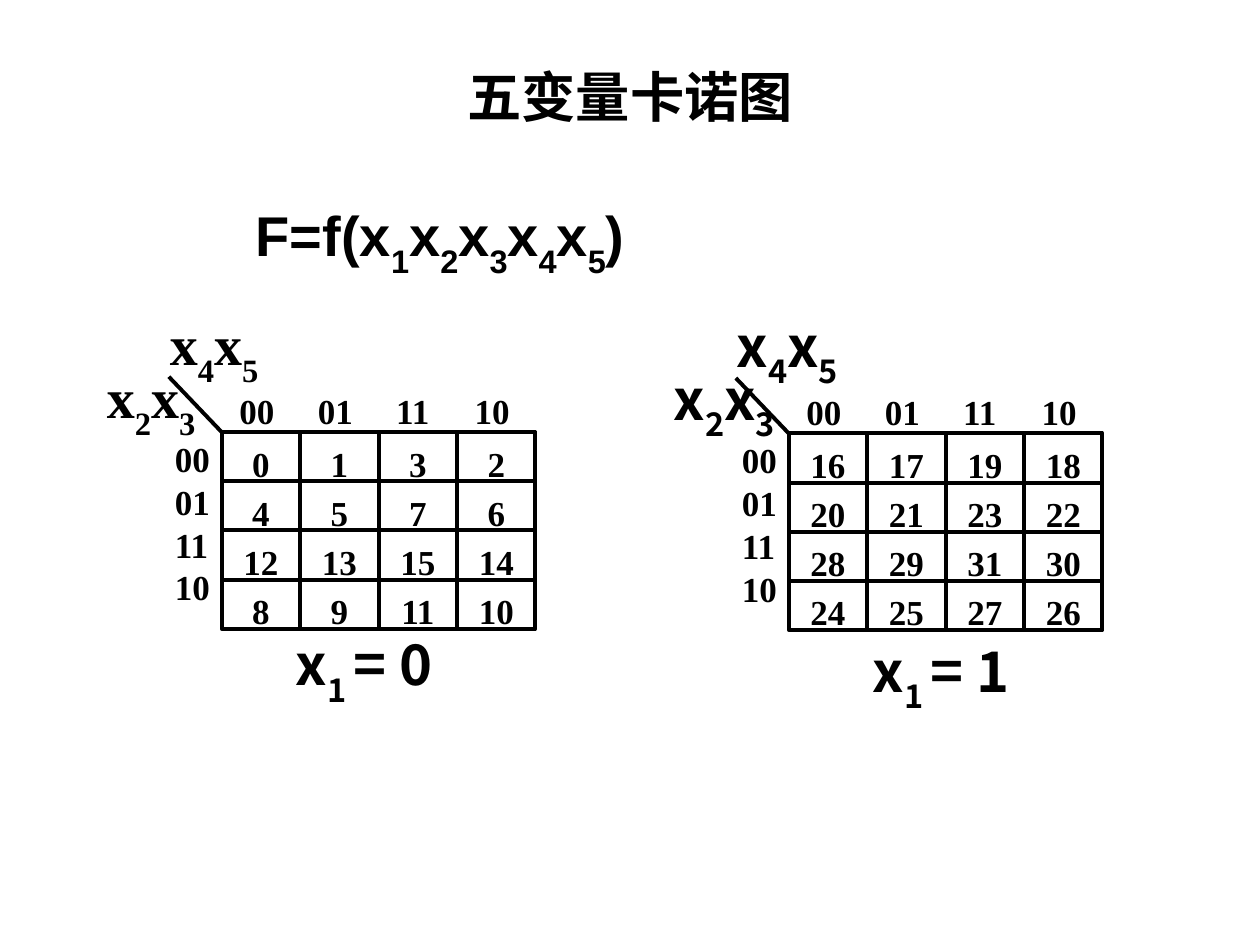
"""Build a slide with the two Karnaugh maps of a five-variable function."""
from lxml.etree import SubElement
from pptx import Presentation
from pptx.dml.color import RGBColor
from pptx.enum.shapes import MSO_CONNECTOR, MSO_SHAPE
from pptx.enum.text import MSO_ANCHOR, MSO_AUTO_SIZE, PP_ALIGN
from pptx.oxml.ns import qn
from pptx.util import Inches, Pt

COLORS = {"ink": "000000"}
SANS, SERIF, CJK = "Arial", "Times New Roman", "Noto Sans CJK SC"
TITLE = "五变量卡诺图"
FORMULA = ["F=f(x", "1", "x", "2", "x", "3", "x", "4", "x", "5", ")"]
COLUMN_NAME = ["x", "4", "x", "5"]
ROW_NAME = ["x", "2", "x", "3"]
GRAY = [0, 1, 3, 2]
CODES = [format(number, "02b") for number in GRAY]
MAPS = [
    {"origin": (1.76, 3.43), "first": 0, "font": SERIF,
     "caption": ["x", "1 ", "= 0"], "caption_at": (0.49, 1.52)},
    {"origin": (6.26, 3.44), "first": 16, "font": CJK,
     "caption": ["x", "1 ", "= 1"], "caption_at": (0.57, 1.56)},
]
SIZE = len(GRAY)
GRID_W, GRID_H = 2.49, 1.56
CELL_W, CELL_H = GRID_W / SIZE, GRID_H / SIZE
LINE = Pt(2.25)


def ink():
    """Return the one colour of the slide."""
    return RGBColor.from_string(COLORS["ink"])


def write(frame, paragraphs, font=SERIF, size=20, align=PP_ALIGN.LEFT,
          spacing=1.0, before=0, tabs=()):
    """Fill a frame; every second piece of a paragraph is a subscript."""
    frame.word_wrap = True
    for row, pieces in enumerate(paragraphs):
        para = frame.add_paragraph() if row else frame.paragraphs[0]
        para.alignment, para.line_spacing = align, spacing
        para.space_before = Pt(before if row else 0)
        if tabs:
            stops = SubElement(para._p.get_or_add_pPr(), qn("a:tabLst"))
            for stop in tabs:
                SubElement(stops, qn("a:tab"), pos=str(Inches(stop)), algn="l")
        for index, piece in enumerate(pieces):
            span = para.add_run()
            span.text = piece
            span.font.size, span.font.bold, span.font.name = Pt(size), True, font
            span.font.color.rgb = ink()
            SubElement(span.font._element, qn("a:ea"), typeface=CJK)
            if index % 2:
                span.font._element.set("baseline", "-30000")


def add_text(page, x, y, width, height, paragraphs, inset=0.1, **style):
    """Add a text box."""
    box = page.shapes.add_textbox(*map(Inches, (x, y, width, height)))
    box.text_frame.margin_left = Inches(inset)
    write(box.text_frame, paragraphs, **style)


def add_cell(page, x, y, number):
    """Add one outlined cell with its minterm number."""
    cell = page.shapes.add_shape(
        MSO_SHAPE.RECTANGLE, *map(Inches, (x, y, CELL_W, CELL_H)))
    cell.shadow.inherit = False
    cell.fill.background()
    cell.line.width, cell.line.color.rgb = LINE, ink()
    frame = cell.text_frame
    frame.vertical_anchor = MSO_ANCHOR.TOP
    frame.margin_top, frame.margin_bottom = Inches(0.08), 0
    write(frame, [[str(number)]], align=PP_ALIGN.CENTER)


def add_line(page, *ends):
    """Add a straight line."""
    line = page.shapes.add_connector(MSO_CONNECTOR.STRAIGHT, *map(Inches, ends))
    line.line.width, line.line.color.rgb = LINE, ink()
    SubElement(line._element.spPr, qn("a:effectLst"))


def add_grid(page, x, y, first):
    """Add the minterm cells in Gray-code order and the ruling over them."""
    for row, high in enumerate(GRAY):
        for column, low in enumerate(GRAY):
            add_cell(page, x + column * CELL_W, y + row * CELL_H,
                     first + SIZE * high + low)
    for step in range(SIZE + 1):
        across, down = x + step * CELL_W, y + step * CELL_H
        add_line(page, x, down, x + GRID_W, down)
        add_line(page, across, y, across, y + GRID_H)


def add_map(page, origin, first, font, caption, caption_at):
    """Add one Karnaugh map with its labels and caption."""
    x, y = origin
    add_grid(page, x, y, first)
    add_line(page, x, y, x - 0.42, y - 0.44)
    add_text(page, x - 0.1, y - 0.39, 2.67, 0.43, [["\t".join(CODES)]],
             inset=0.24, tabs=[CELL_W * step for step in range(1, SIZE)])
    add_text(page, x - 0.47, y + 0.11, 0.52, 1.4, [[code] for code in CODES],
             spacing=0.6, before=10.1)
    add_text(page, x - 1.01, y - 0.6, 1.33, 0.63, [ROW_NAME], font=font, size=32)
    add_text(page, x - 0.51, y - 1.02, 1.17, 0.63, [COLUMN_NAME], font=font, size=32)
    add_text(page, x + caption_at[0], y + caption_at[1], 2, 0.63, [caption],
             font=CJK, size=32)


def main():
    """Build and save the deck."""
    deck = Presentation()
    deck.slide_width, deck.slide_height = Inches(10), Inches(7.5)
    page = deck.slides.add_slide(deck.slide_layouts[5])
    title = page.shapes.title
    title.left, title.top, title.width, title.height = map(
        Inches, (0, 0.45, 10, 0.62))
    title.text_frame.auto_size = MSO_AUTO_SIZE.NONE
    title.text_frame.vertical_anchor = MSO_ANCHOR.TOP
    write(title.text_frame, [[TITLE]], font=SANS, size=31, align=PP_ALIGN.CENTER)
    add_text(page, 1.93, 1.54, 3.62, 0.63, [FORMULA], font=SANS, size=32)
    for karnaugh in MAPS:
        add_map(page, **karnaugh)
    deck.save("out.pptx")


if __name__ == "__main__":
    main()
